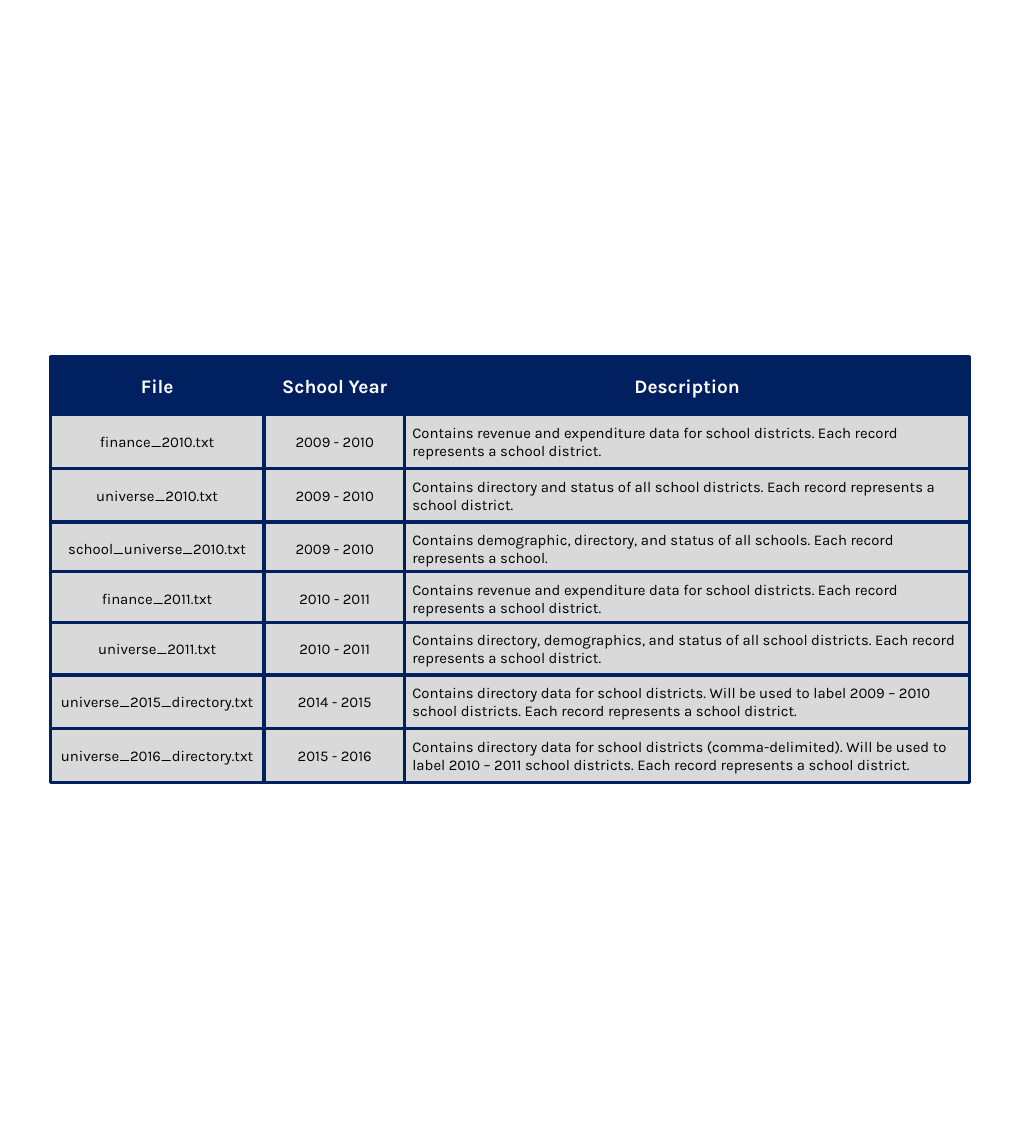
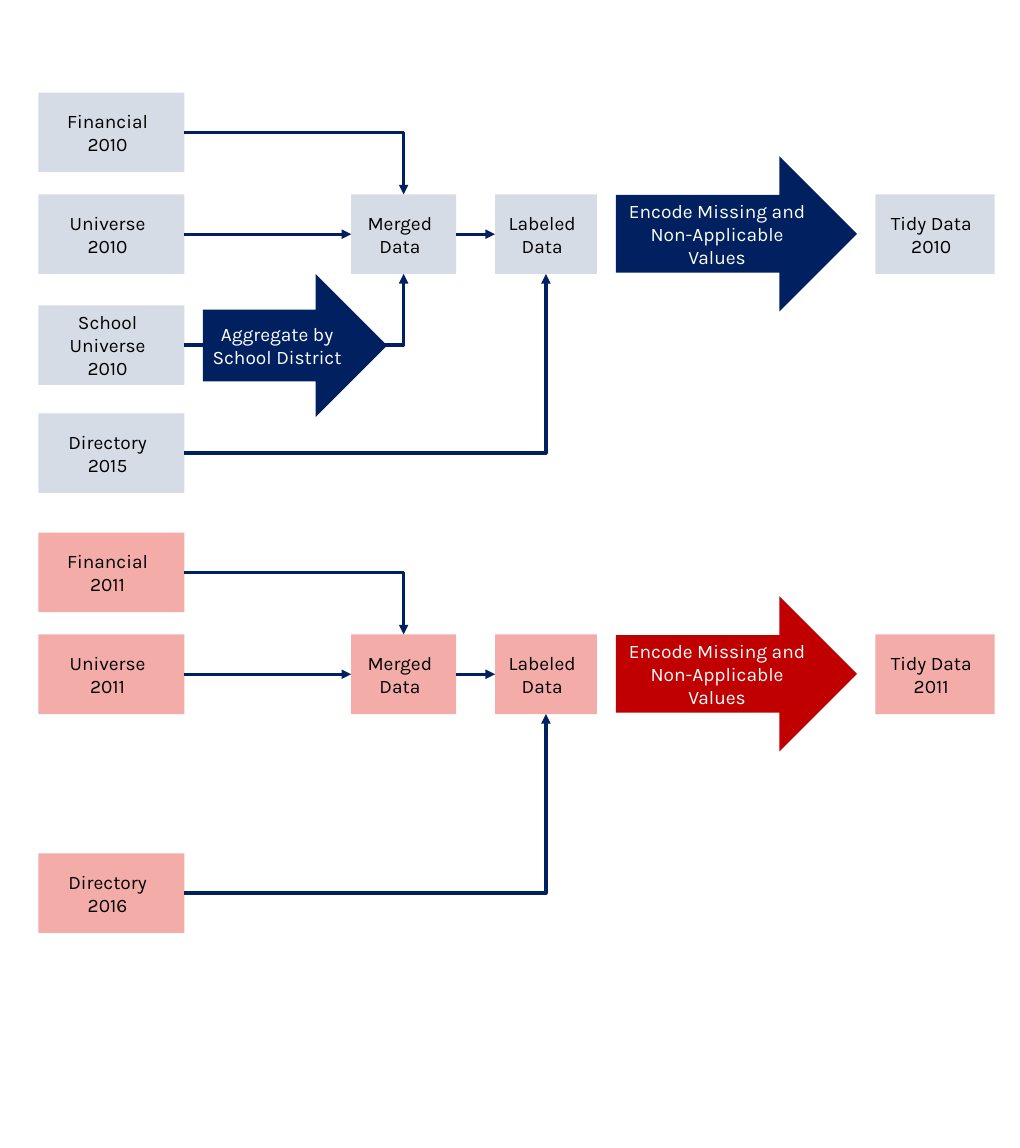
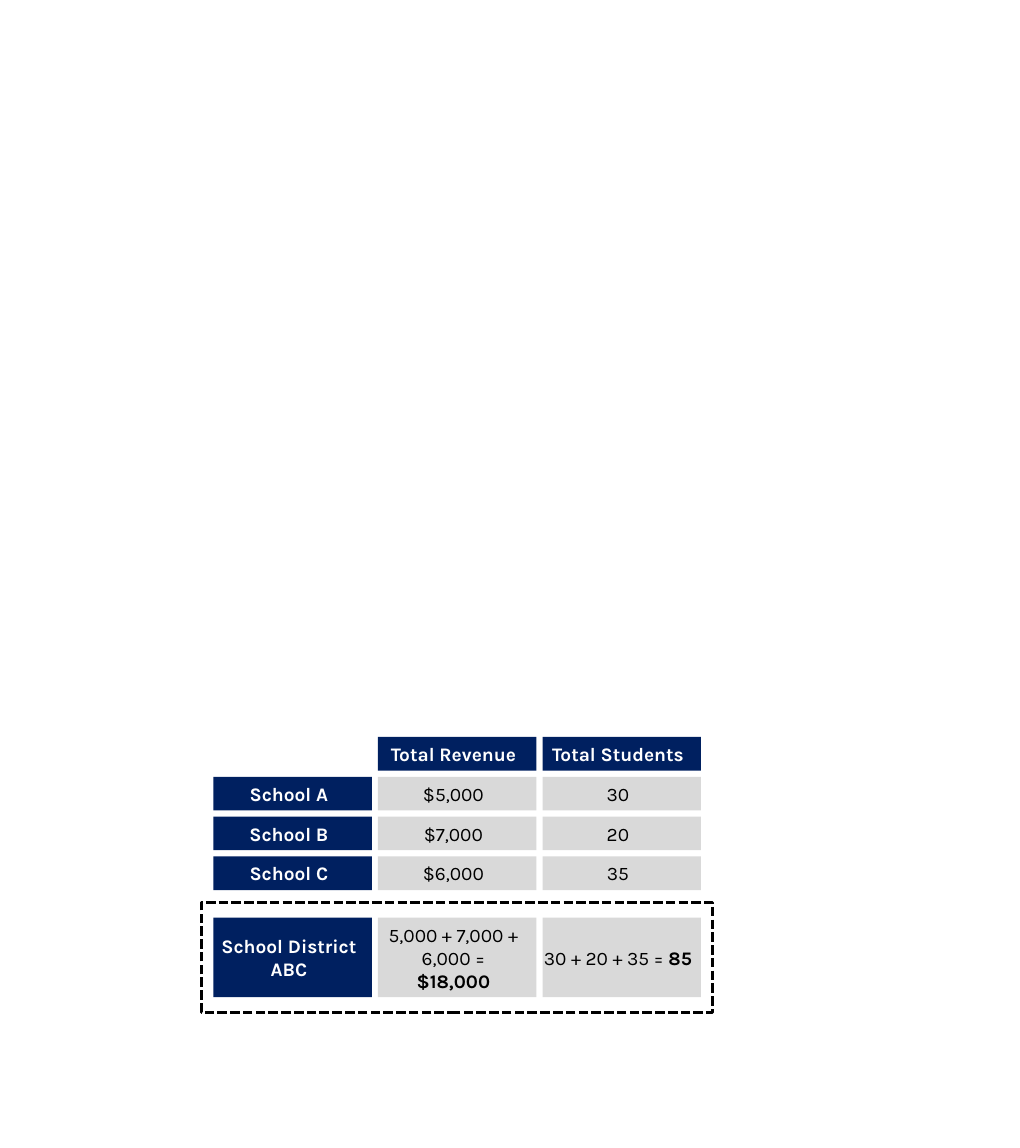
from lxml import etree
from pptx import Presentation
from pptx import util as u
from pptx.dml.color import RGBColor
from pptx.enum import dml, shapes, text
from pptx.oxml.ns import qn

PX = 9144  # EMU per px, 100 px to the inch
FONT = "Karla"
NAVY = RGBColor(0x00, 0x20, 0x60)
RED = RGBColor(0xC0, 0x00, 0x00)
PALE_BLUE = RGBColor(0xD6, 0xDC, 0xE5)
PALE_RED = RGBColor(0xF4, 0xAC, 0xA9)
GREY = RGBColor(0xD9, 0xD9, 0xD9)
BLACK = RGBColor(0x00, 0x00, 0x00)
WHITE = RGBColor(0xFF, 0xFF, 0xFF)
RECT = shapes.MSO_SHAPE.RECTANGLE
ARROW = shapes.MSO_SHAPE.RIGHT_ARROW
TOP, LEFT, BOTTOM, RIGHT = range(4)  # connection sites of a rectangle

FILES = [
    (542, "finance_2010.txt", "2009 - 2010",
     "Contains revenue and expenditure data for school districts. "
     "Each record represents a school district."),
    (612, "universe_2010.txt", "2009 - 2010",
     "Contains directory and status of all school districts. "
     "Each record represents a school district."),
    (682, "school_universe_2010.txt", "2009 - 2010",
     "Contains demographic, directory, and status of all schools. "
     "Each record represents a school."),
    (747, "finance_2011.txt", "2010 - 2011",
     "Contains revenue and expenditure data for school districts. "
     "Each record represents a school district."),
    (813, "universe_2011.txt", "2010 - 2011",
     "Contains directory, demographics, and status of all school districts. "
     "Each record represents a school district."),
    (882, "universe_2015_directory.txt", "2014 - 2015",
     "Contains directory data for school districts. Will be used to label "
     "2009 – 2010 school districts. Each record represents a school district."),
    (952, "universe_2016_directory.txt", "2015 - 2016",
     "Contains directory data for school districts (comma-delimited). Will be used to label "
     "2010 – 2011 school districts. Each record represents a school district."),
]
FILE_COLUMNS = [(66, 279), (345, 185), (529, 738)]
SCHOOLS = [
    ("", "Total Revenue", "Total Students"),
    ("School A", "$5,000", "30"),
    ("School B", "$7,000", "20"),
    ("School C", "$6,000", "35"),
]


class Deck:
    def __init__(self, width, height):
        self.prs = Presentation()
        self.prs.slide_width, self.prs.slide_height = width * PX, height * PX
        self.slide = None

    def new_slide(self):
        self.slide = self.prs.slides.add_slide(self.prs.slide_layouts[6])

    def shape(self, x, y, w, h, kind=RECT, fill=None, line=None, dash=None):
        s = self.slide.shapes.add_shape(kind, x * PX, y * PX, w * PX, h * PX)
        s.shadow.inherit = False
        if fill is None:
            s.fill.background()
        else:
            s.fill.solid()
            s.fill.fore_color.rgb = fill
        if line is None:
            s.line.fill.background()
        else:
            s.line.color.rgb = line
            s.line.width = u.Pt(3)
            s.line.dash_style = dash
        return s

    def label(self, s, words, size=18, color=BLACK, bold=False, centred=True, total=""):
        """Fill a shape with text; total is a bold ending to the last paragraph."""
        tf = s.text_frame
        tf.text = words
        tf.word_wrap = True
        tf.vertical_anchor = text.MSO_ANCHOR.MIDDLE
        for p in tf.paragraphs:
            p.alignment = text.PP_ALIGN.CENTER if centred else text.PP_ALIGN.LEFT
        if total:
            p.add_run().text = total
        for p in tf.paragraphs:
            for r in p.runs:
                r.font.name, r.font.size = FONT, u.Pt(size)
                r.font.color.rgb = color
                r.font.bold = bold
        if total:
            r.font.bold = True

    def cell(self, x, y, w, h, words, fill, **style):
        self.label(self.shape(x, y, w, h, fill=fill, line=NAVY), words, **style)

    def card(self, x, y, w, h, words, fill, **style):
        s = self.shape(x, y, w, h, fill=fill)
        s.text_frame.margin_left = 0
        self.label(s, words, **style)
        return s

    def heading(self, x, y, w, h, words):
        self.card(x, y, w, h, words, NAVY, color=WHITE, bold=True)

    def block_arrow(self, x, y, w, h, words, fill):
        self.label(self.shape(x, y, w, h, ARROW, fill), words, color=WHITE)

    def link(self, start, end, site):
        """Arrow from the right of one box to a site of another, bent once unless at its left."""
        c = self.slide.shapes.add_connector(shapes.MSO_CONNECTOR.STRAIGHT, 0, 0, 0, 0)
        c.begin_connect(start, RIGHT)
        c.end_connect(end, site)
        c.line.color.rgb = NAVY
        c.line.width = u.Pt(3)
        sp_pr = c._element.spPr
        if site != LEFT:
            sp_pr.find(qn("a:prstGeom")).set("prst", "bentConnector2")
        etree.SubElement(sp_pr.find(qn("a:ln")), qn("a:tailEnd"), type="triangle")
        etree.SubElement(sp_pr, qn("a:effectLst"))


def file_table(deck):
    deck.new_slide()
    for (x, w), title in zip(FILE_COLUMNS, ("File", "School Year", "Description")):
        deck.cell(x, 466, w, 75, title, NAVY, color=WHITE, bold=True)
    for y, *values in FILES:
        for (x, w), value in zip(FILE_COLUMNS, values):
            deck.cell(x, y, w, 70, value, GREY, size=14, centred=value != values[-1])


def data_flow(deck, top, year, tint, strong, with_schools):
    """One year's sources, merged and labeled into tidy data."""
    def source(dy, words):
        return deck.card(50, top + dy, 191, 104, words, tint)

    def stage(x, w, words):
        return deck.card(x, top + 133, w, 104, words, tint)

    financial = source(0, f"Financial\n{year}")
    universe = source(133, f"Universe\n{year}")
    directory = source(419, f"Directory\n{year + 5}")
    merged = stage(459, 137, "Merged Data")
    labeled = stage(647, 133, "Labeled Data")
    stage(1144, 156, f"Tidy Data\n{year}")

    deck.link(universe, merged, LEFT)
    deck.link(financial, merged, TOP)
    deck.link(directory, labeled, BOTTOM)
    deck.link(merged, labeled, LEFT)
    deck.block_arrow(805, top + 83, 315, 203, "Encode Missing and Non-Applicable Values", strong)
    if with_schools:
        schools = source(278, f"School Universe\n{year}")
        deck.link(schools, merged, BOTTOM)
        deck.block_arrow(265, top + 237, 241, 187, "Aggregate by\nSchool District", strong)


def school_totals(deck):
    deck.new_slide()
    columns = [279 + 215 * i for i in range(3)]
    for i, row in enumerate(SCHOOLS):
        for x, value in zip(columns, row):
            box = (x, 963 + 52 * i, 207, 44, value)
            if i == 0 or x == columns[0]:
                if value:
                    deck.heading(*box)
            else:
                deck.card(*box, GREY)
    school, revenue, students = columns
    deck.heading(school, 1199, 207, 104, "School District ABC")
    deck.card(revenue, 1199, 207, 104, "5,000 + 7,000 + 6,000 =\n", GREY, total="$18,000")
    deck.card(students, 1199, 207, 104, "30 + 20 + 35 = ", GREY, total="85")
    deck.shape(263, 1179, 668, 144, line=BLACK, dash=dml.MSO_LINE.SQUARE_DOT)


def main():
    deck = Deck(1333, 1500)
    file_table(deck)
    deck.new_slide()
    data_flow(deck, 121, 2010, PALE_BLUE, NAVY, with_schools=True)
    data_flow(deck, 696, 2011, PALE_RED, RED, with_schools=False)
    school_totals(deck)
    deck.prs.save("out.pptx")


if __name__ == "__main__":
    main()
